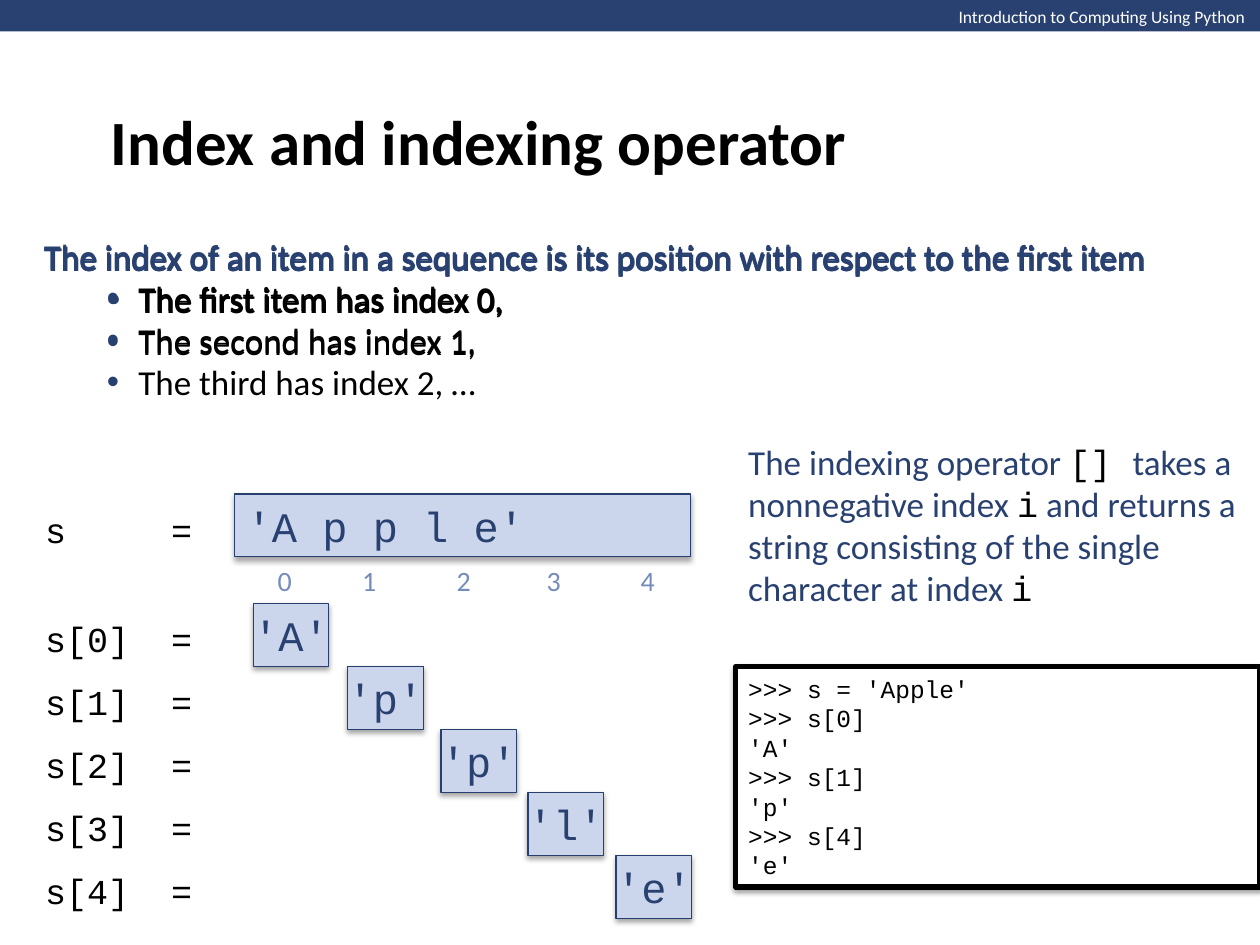
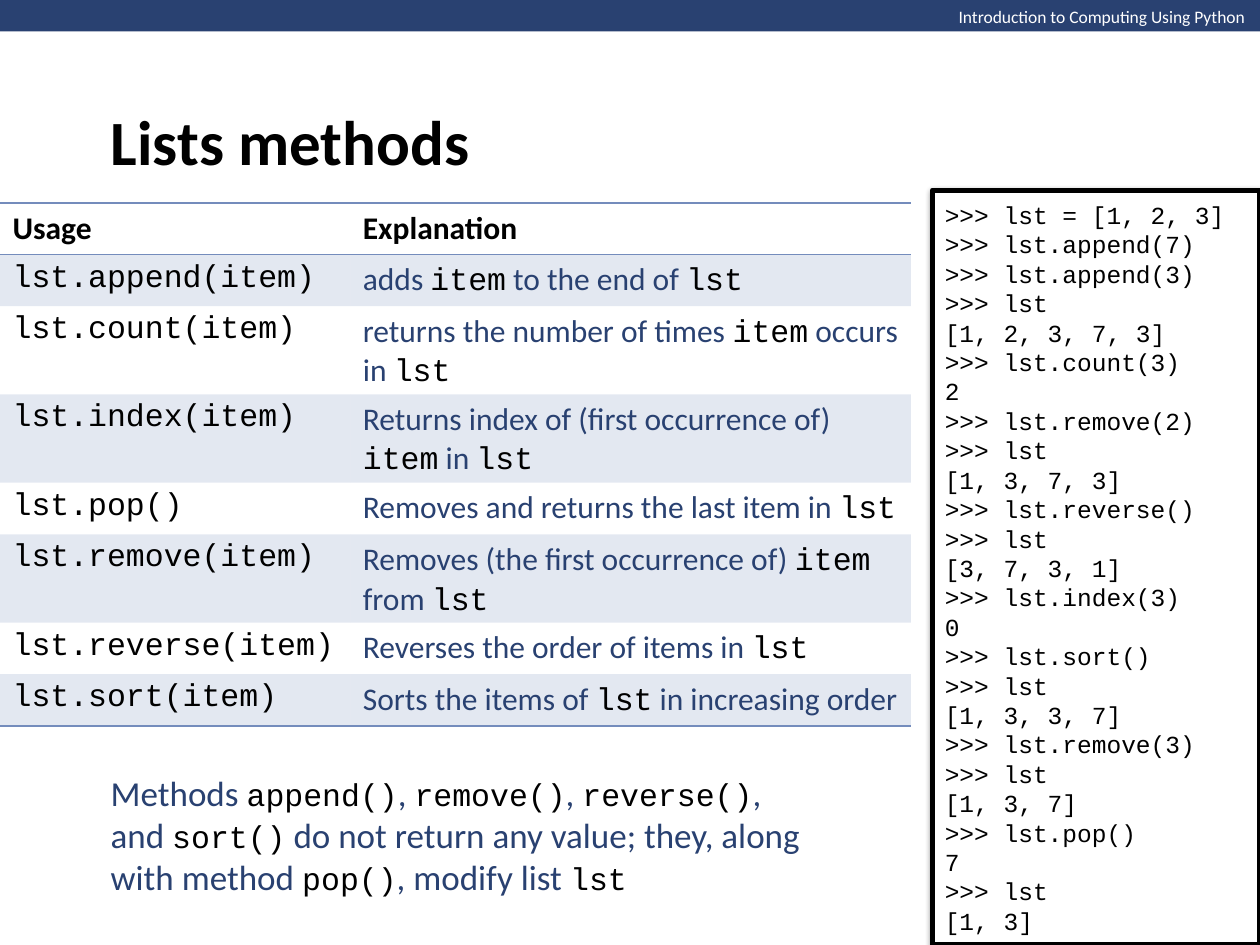
from lxml.etree import SubElement
from pptx import Presentation
from pptx.dml.color import RGBColor
from pptx.enum.shapes import MSO_SHAPE as Shape
from pptx.enum.text import MSO_ANCHOR as Anchor, PP_ALIGN as Align
from pptx.oxml import parse_xml
from pptx.oxml.ns import nsdecls, qn
from pptx.util import Inches, Pt

NAVY, BLUE, PALE, EDGE = "294171", "748CBC", "CBD6EC", "263F70"
BLACK, WHITE = "000000", "FFFFFF"
BODY_FONT, CODE_FONT = "Calibri", "Courier New"
NO_TABLE_STYLE = "{2D5ABB26-0587-4C30-8999-92F81FD0307C}"

BOOK = "Introduction to Computing Using Python"

INDEX_RULE = "The index of an item in a sequence is its position with respect to the first item"
INDEX_EXAMPLES = [
    "The first item has index 0,",
    "The second has index 1,",
    "The third has index 2, …",
]
RULE_PLACES = [(0.25, 1.83), (0.26, 1.83), (0.25, 1.83), (0.25, 1.81)]
LETTERS = [
    ("A", 2.01, 2.01, 0.5),
    ("p", 2.76, 2.61, 0.64),
    ("p", 3.5, 3.36, 0.64),
    ("l", 4.19, 4.1, 0.59),
    ("e", 4.89, 4.89, 0.5),
]
OPERATOR_NOTE = (
    "The indexing operator `[] `takes a nonnegative index `i` and returns "
    "a string consisting of the single character at index `i`"
)
INDEX_SESSION = """>>> s = 'Apple'
>>> s[0]
'A'
>>> s[1]
'p'
>>> s[4]
'e'"""

METHOD_ROWS = [
    ("Usage", "Explanation"),
    ("`lst.append(item)`", "adds `item` to the end of `lst`"),
    ("`lst.count(item)`", "returns the number of times `item` occurs in `lst`"),
    ("`lst.index(item)`", "Returns index of (first occurrence of) `item` in `lst`"),
    ("`lst.pop()`", "Removes and returns the last item in `lst`"),
    ("`lst.remove(item)`", "Removes (the first occurrence of) `item` from `lst`"),
    ("`lst.reverse(item)`", "Reverses the order of items in `lst`"),
    ("`lst.sort(item)`", "Sorts the items of `lst` in increasing order"),
]
COLUMN_WIDTHS = [2.78, 4.45]
ROW_HEIGHT = 0.41
METHOD_NOTE = [
    "Methods `append()`, `remove()`, `reverse()`,",
    "and `sort()` do not return any value; they, along with method `pop()`, modify list `lst`",
]
LIST_SESSION = """>>> lst = [1, 2, 3]
>>> lst.append(7)
>>> lst.append(3)
>>> lst
[1, 2, 3, 7, 3]
>>> lst.count(3)
2
>>> lst.remove(2)
>>> lst
[1, 3, 7, 3]
>>> lst.reverse()
>>> lst
[3, 7, 3, 1]
>>> lst.index(3)
0
>>> lst.sort()
>>> lst
[1, 3, 3, 7]
>>> lst.remove(3)
>>> lst
[1, 3, 7]
>>> lst.pop()
7
>>> lst
[1, 3]"""


def rgb(value):
    return RGBColor.from_string(value)


def assign(target, **values):
    for name, value in values.items():
        setattr(target, name, value)


def style_font(font, size, color=NAVY, name=BODY_FONT, bold=False):
    assign(font, size=Pt(size), name=name, bold=bold)
    font.color.rgb = rgb(color)


def write_line(paragraph, text, size, color=NAVY, code_size=None, bold=False, align=Align.LEFT):
    paragraph.alignment = align
    for position, part in enumerate(text.split("`")):
        if not part:
            continue
        run = paragraph.add_run()
        run.text = part
        if position % 2:
            style_font(run.font, code_size or size, BLACK, CODE_FONT)
        else:
            style_font(run.font, size, color, bold=bold)


def write_lines(frame, lines, size, **style):
    for position, line in enumerate(lines):
        paragraph = frame.add_paragraph() if position else frame.paragraphs[0]
        write_line(paragraph, line, size, **style)


def add_text(slide, place, lines, size, anchor=Anchor.MIDDLE, wrap=True, **style):
    box = slide.shapes.add_textbox(*map(Inches, place))
    assign(box.text_frame, word_wrap=wrap, vertical_anchor=anchor)
    write_lines(box.text_frame, lines, size, **style)
    return box.text_frame


def add_box(slide, place, fill, edge=None, width=0.75):
    box = slide.shapes.add_shape(Shape.RECTANGLE, *map(Inches, place))
    box.shadow.inherit = False
    box.fill.solid()
    box.fill.fore_color.rgb = rgb(fill)
    if edge:
        box.line.color.rgb = rgb(edge)
        box.line.width = Pt(width)
    else:
        box.line.fill.background()
    return box


def add_shadow(shape, distance, opacity):
    effects = shape._element.spPr.find(qn("a:effectLst"))
    effects.append(parse_xml(
        f'<a:outerShdw {nsdecls("a")} blurRad="{Pt(3.1)}" dist="{Pt(distance)}" dir="5400000" '
        f'rotWithShape="0"><a:srgbClr val="{BLACK}"><a:alpha val="{opacity * 1000}"/>'
        '</a:srgbClr></a:outerShdw>'
    ))


def add_string_box(slide, place, text, align=Align.CENTER, wrap=False):
    box = add_box(slide, place, PALE, EDGE)
    add_shadow(box, 1.8, 35)
    assign(box.text_frame, word_wrap=wrap, vertical_anchor=Anchor.MIDDLE)
    paragraph = box.text_frame.paragraphs[0]
    paragraph.alignment = align
    run = paragraph.add_run()
    run.text = text
    style_font(run.font, 24, NAVY, CODE_FONT)


def add_session(slide, place, session):
    box = add_box(slide, place, WHITE, BLACK, 3)
    add_shadow(box, 1.6, 38)
    assign(box.text_frame, word_wrap=True, vertical_anchor=Anchor.MIDDLE)
    write_lines(box.text_frame, [f"`{line}`" for line in session.split("\n")], 14)


def add_slide(presentation, title_text):
    slide = presentation.slides.add_slide(presentation.slide_layouts[5])
    add_box(slide, (0, 0, 10.01, 0.25), NAVY)
    add_text(slide, (7.51, 0, 2.5, 0.27), [BOOK], 10, Anchor.TOP, False, color=WHITE)
    title = slide.shapes.title
    left, top, width, height = map(Inches, (0.78, 0.61, 8.5, 1))
    assign(title, left=left, top=top, width=width, height=height)
    assign(title.text_frame, word_wrap=True, vertical_anchor=Anchor.MIDDLE)
    write_lines(title.text_frame, [title_text], 36, color=BLACK, bold=True)
    return slide


def add_label(slide, top, name):
    frame = add_text(slide, (0.26, top, 1.38, 0.44), [f"`{name}\t=`"], 20)
    frame.margin_right = 0
    properties = frame.paragraphs[0]._p.get_or_add_pPr()
    tabs = SubElement(properties, qn("a:tabLst"))
    SubElement(tabs, qn("a:tab"), pos=str(Inches(1)), algn="l")


def add_bullet(frame, text):
    paragraph = frame.add_paragraph()
    paragraph.level = 1
    properties = paragraph._p.get_or_add_pPr()
    properties.set("marL", str(Inches(0.75)))
    properties.set("indent", str(Inches(-0.25)))
    color = SubElement(properties, qn("a:buClr"))
    SubElement(color, qn("a:srgbClr"), val=NAVY)
    SubElement(properties, qn("a:buFont"), typeface="Arial")
    SubElement(properties, qn("a:buChar"), char="•")
    write_line(paragraph, text, 20, color=BLACK)


def add_index_slide(presentation):
    slide = add_slide(presentation, "Index and indexing operator")
    add_label(slide, 3.98, "s")
    for index, (letter, box_left, label_left, label_width) in enumerate(LETTERS):
        top = 4.79 + 0.5 * index
        add_string_box(slide, (box_left, top, 0.6, 0.5), f"'{letter}'")
        add_label(slide, top + 0.06, f"s[{index}]")
        add_text(slide, (label_left, 4.42, label_width, 0.37), [str(index)], 16,
                 color=BLUE, align=Align.CENTER)
    for count, (left, top) in enumerate(RULE_PLACES):
        frame = add_text(slide, (left, top, 9.27, 1.45), [INDEX_RULE], 20, Anchor.TOP)
        for example in INDEX_EXAMPLES[:count]:
            add_bullet(frame, example)
    add_text(slide, (5.84, 3.45, 4.17, 1.45), [OPERATOR_NOTE], 20, Anchor.TOP)
    add_session(slide, (5.84, 5.29, 4.16, 1.75), INDEX_SESSION)
    add_string_box(slide, (1.86, 3.92, 3.62, 0.5), "'A p p l e'", Align.JUSTIFY, True)


def add_cell_borders(cell, sides):
    properties = cell._tc.get_or_add_tcPr()
    for position, side in enumerate(sides):
        properties.insert(position, parse_xml(
            f'<a:ln{side} {nsdecls("a")} w="{Pt(1)}"><a:solidFill>'
            f'<a:srgbClr val="{BLUE}"/></a:solidFill></a:ln{side}>'
        ))


def fill_cell(cell, shaded):
    if not shaded:
        cell.fill.background()
        return
    cell.fill.solid()
    cell.fill.fore_color.rgb = rgb(BLUE)
    color = cell._tc.tcPr.find(".//" + qn("a:srgbClr"))
    SubElement(color, qn("a:alpha"), val="20000")


def add_method_table(slide):
    count = len(METHOD_ROWS)
    place = (0, 1.61, sum(COLUMN_WIDTHS), ROW_HEIGHT * count)
    table = slide.shapes.add_table(count, len(COLUMN_WIDTHS), *map(Inches, place)).table
    table._tbl.tblPr.find(qn("a:tableStyleId")).text = NO_TABLE_STYLE
    for column, width in zip(table.columns, COLUMN_WIDTHS):
        column.width = Inches(width)
    borders = {0: "TB", count - 1: "B"}
    for row, texts in enumerate(METHOD_ROWS):
        table.rows[row].height = Inches(ROW_HEIGHT)
        for column, text in enumerate(texts):
            cell = table.cell(row, column)
            write_lines(cell.text_frame, [text], 18, color=NAVY if row else BLACK, bold=row == 0)
            fill_cell(cell, row % 2 == 1)
            add_cell_borders(cell, borders.get(row, ""))


def add_methods_slide(presentation):
    slide = add_slide(presentation, "Lists methods")
    add_session(slide, (7.4, 1.51, 2.6, 5.99), LIST_SESSION)
    add_method_table(slide)
    add_text(slide, (0.78, 6.07, 6.11, 1.11), METHOD_NOTE, 20, code_size=18)


def main():
    presentation = Presentation()
    assign(presentation, slide_width=Inches(10), slide_height=Inches(7.5))
    add_index_slide(presentation)
    add_methods_slide(presentation)
    presentation.save("out.pptx")


if __name__ == "__main__":
    main()
